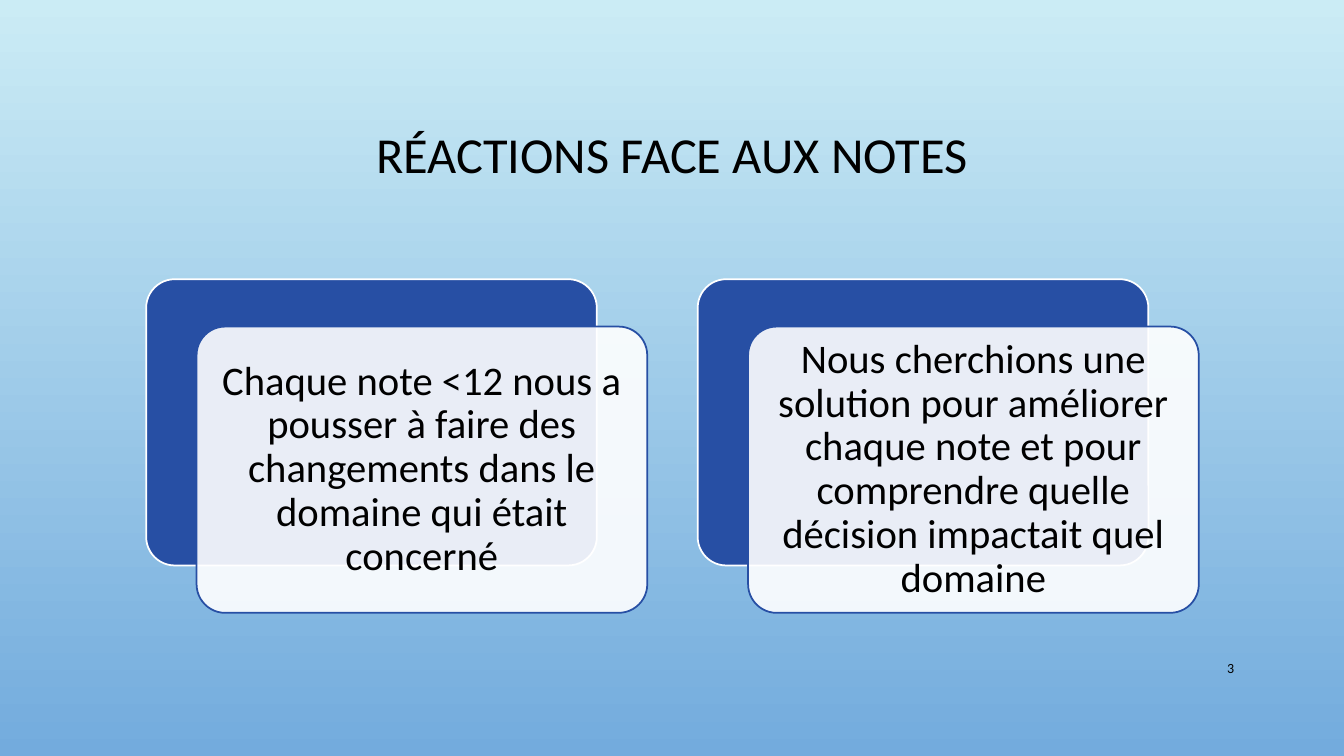
from lxml import etree
from pptx import Presentation
from pptx.dml.color import RGBColor
from pptx.enum.shapes import MSO_SHAPE as Shape
from pptx.enum.text import MSO_ANCHOR as Anchor, PP_ALIGN as Align
from pptx.oxml.ns import qn
from pptx.util import Inches, Pt

SKY_TOP = RGBColor(0xCB, 0xEC, 0xF5)
SKY_BOTTOM = RGBColor(0x73, 0xAB, 0xDD)
BLUE = RGBColor(0x27, 0x4F, 0xA4)
WHITE = RGBColor(0xFF, 0xFF, 0xFF)
BLACK = RGBColor(0, 0, 0)

CARD_WIDTH, CARD_HEIGHT = 4.47, 2.84
CARD_TOP = 2.77
OFFSET_X, OFFSET_Y = 0.5, 0.47
CARDS = [
    (1.45, "Chaque note <12 nous a pousser à faire des changements "
           "dans le domaine qui était concerné"),
    (6.92, "Nous cherchions une solution pour améliorer chaque note et pour "
           "comprendre quelle décision impactait quel domaine"),
]


def write_text(shape, text, size, align, **paragraph_format):
    frame = shape.text_frame
    frame.word_wrap = True
    frame.vertical_anchor = Anchor.MIDDLE
    paragraph = frame.paragraphs[0]
    paragraph.alignment = align
    for name, value in paragraph_format.items():
        setattr(paragraph, name, value)
    run = paragraph.add_run()
    run.text = text
    run.font.name = "Calibri"
    run.font.size = Pt(size)
    run.font.color.rgb = BLACK


def add_card(left, top, fill, line):
    card = slide.shapes.add_shape(
        Shape.ROUNDED_RECTANGLE, Inches(left), Inches(top),
        Inches(CARD_WIDTH), Inches(CARD_HEIGHT))
    card.adjustments[0] = 0.1
    card.shadow.inherit = False
    card.fill.solid()
    card.fill.fore_color.rgb = fill
    card.line.color.rgb = line
    card.line.width = Pt(1.25)
    return card


presentation = Presentation()
presentation.slide_width = Inches(13.33)
presentation.slide_height = Inches(7.5)
slide = presentation.slides.add_slide(presentation.slide_layouts[5])

# Background gradient, top to bottom
background = slide.background.fill
background.gradient()
background.gradient_angle = 270
for stop, color in zip(background.gradient_stops, (SKY_TOP, SKY_BOTTOM)):
    stop.color.rgb = color

# Title
title = slide.shapes.title
title_place = {"left": 1, "top": 0.68, "width": 11.33, "height": 1.75}
for name, value in title_place.items():
    setattr(title, name, Inches(value))
write_text(title, "RÉACTIONS FACE AUX NOTES", 36, Align.CENTER, line_spacing=0.9)

# Cards: a blue plate with a translucent white card in front
for left, text in CARDS:
    add_card(left, CARD_TOP, BLUE, WHITE)
    front = add_card(left + OFFSET_X, CARD_TOP + OFFSET_Y, WHITE, BLUE)
    white = front.fill._xPr.find(qn("a:solidFill"))[0]
    etree.SubElement(white, qn("a:alpha"), val="90000")
    for side in ("left", "right", "top", "bottom"):
        setattr(front.text_frame, f"margin_{side}", Inches(0.12))
    write_text(front, text, 29, Align.CENTER, line_spacing=0.9)

# Slide number
number = slide.shapes.add_textbox(Inches(11.5), Inches(6.43), Inches(0.84), Inches(0.4))
write_text(number, "3", 10, Align.RIGHT)

presentation.save("out.pptx")
